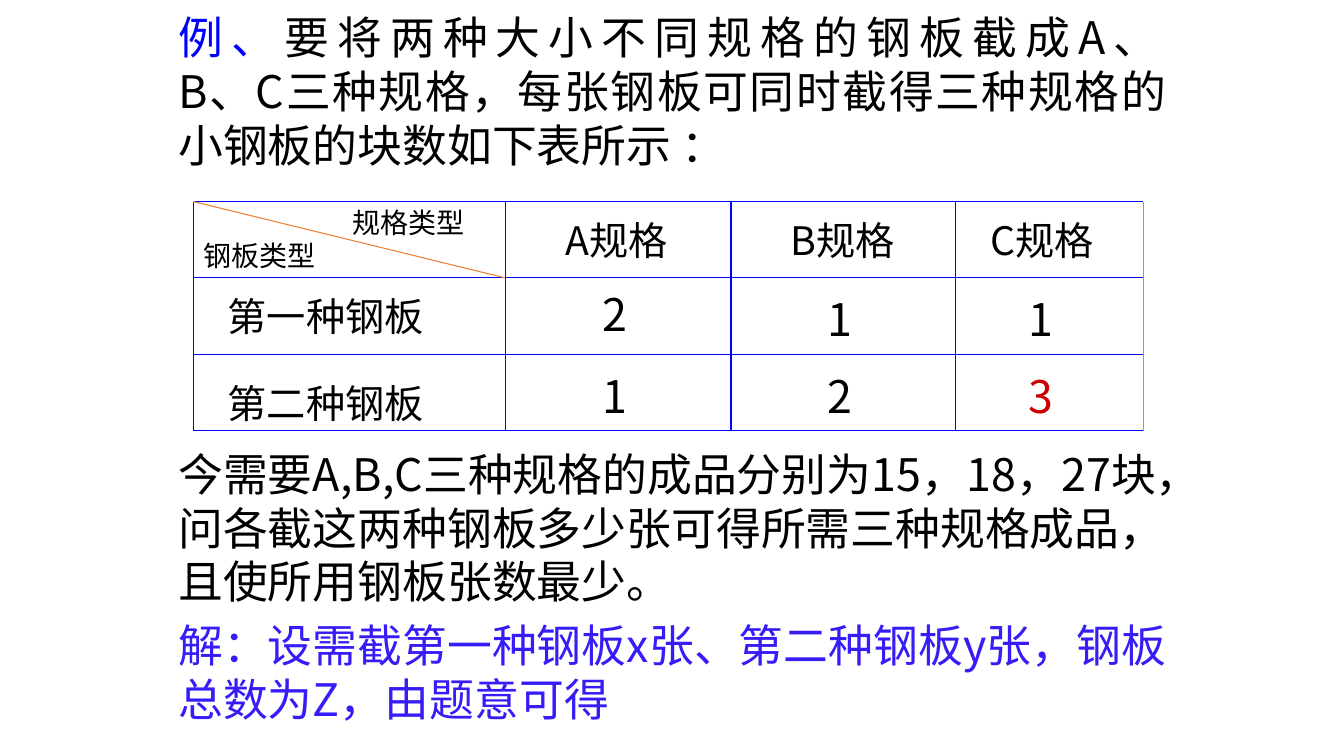
import dataclasses
import itertools

import lxml.etree
import pptx
import pptx.dml.color
import pptx.enum.shapes
import pptx.enum.text
import pptx.oxml.ns
import pptx.util

Inches = pptx.util.Inches
Pt = pptx.util.Pt
Align = pptx.enum.text.PP_ALIGN
Anchor = pptx.enum.text.MSO_ANCHOR
qn = pptx.oxml.ns.qn

FONT = "Noto Sans CJK SC"
BLACK, BLUE, ORANGE, RED, VIOLET = "000000", "0000FF", "ED7D31", "CC0000", "361CF6"
LEFT, TOP, ROW_H = 1.92, 2.0, 0.757
COL_WIDTHS = (3.09, 2.24, 2.23, 1.86)


@dataclasses.dataclass
class Span:
    text: str
    color: str
    spacing: float = 0
    ends_line: bool = False


@dataclasses.dataclass
class Passage:
    top: float
    height: float
    spans: list[Span]
    align: Align = Align.LEFT
    anchor: Anchor = Anchor.TOP


@dataclasses.dataclass
class Entry:
    text: str
    left: float
    top: float
    size: int
    color: str = BLACK


PASSAGES = [
    Passage(0.05, 1.72, [
        Span("例、", BLUE, 3.7),
        Span("要将两种大小不同规格的钢板截成A、", BLACK, 3.7, True),
        Span("B、C三种规格，每张钢板可同时截得三种规格的小钢板的块数如下表所示 ：", BLACK),
    ], Align.JUSTIFY),
    Passage(4.38, 1.72, [
        Span("今需要A,B,C三种规格的成品分别为15，18，27块，问各截这两种钢板多少张可得所需三种规格成品，且使所用钢板张数最少。", BLACK),
    ]),
    Passage(6.08, 1.17, [
        Span("解：设需截第一种钢板x张、第二种钢板y张，钢板总数为Z，由题意可得", VIOLET),
    ], anchor=Anchor.MIDDLE),
]

ROWS = [
    [Entry("规格类型\n钢板类型", 0.1, 0.06, 20), Entry("A规格", 0.6, 0.18, 28),
     Entry("B规格", 0.59, 0.18, 28), Entry("C规格", 0.34, 0.18, 28)],
    [Entry("第一种钢板", 0.34, 0.18, 28), Entry("2", 0.97, 0.13, 32),
     Entry("1", 0.96, 0.18, 32), Entry("1", 0.72, 0.18, 32)],
    [Entry("第二种钢板", 0.34, 0.28, 28), Entry("1", 0.97, 0.18, 32),
     Entry("2", 0.96, 0.18, 32), Entry("3", 0.72, 0.18, 32, RED)],
]


def rgb(value: str) -> pptx.dml.color.RGBColor:
    return pptx.dml.color.RGBColor.from_string(value)


def style_paragraph(p, size: int, color: str | None = None) -> None:
    p.font.name = FONT
    p.font.size = Pt(size)
    if color:
        p.font.color.rgb = rgb(color)
    props = p._p.pPr.find(qn("a:defRPr"))
    lxml.etree.SubElement(props, qn("a:ea"), typeface=FONT)


def add_passage(slide, item: Passage) -> None:
    sp = slide.shapes.add_textbox(Inches(1.67), Inches(item.top), Inches(10), Inches(item.height))
    tf = sp.text_frame
    tf.word_wrap = True
    tf.vertical_anchor = item.anchor
    p = tf.paragraphs[0]
    p.alignment = item.align
    for span in item.spans:
        r = p.add_run()
        r.text = span.text
        r.font.color.rgb = rgb(span.color)
        if span.spacing:
            r._r.get_or_add_rPr().set("spc", str(round(span.spacing * 100)))
        if span.ends_line:
            p.add_line_break()
    style_paragraph(p, 32)


def fill_cell(cell, entry: Entry) -> None:
    cell.text = entry.text
    cell.margin_left, cell.margin_top = Inches(entry.left), Inches(entry.top)
    cell.margin_right = cell.margin_bottom = 0
    for p in cell.text_frame.paragraphs:
        p.line_spacing = Pt(entry.size * 1.2)
        style_paragraph(p, entry.size, entry.color)
    for side in ("lnL", "lnR", "lnT", "lnB"):
        ln = lxml.etree.SubElement(cell._tc.get_or_add_tcPr(), qn(f"a:{side}"))
        lxml.etree.SubElement(ln, qn("a:noFill"))
    cell.fill.background()


def add_plate_table(slide) -> None:
    frame = slide.shapes.add_table(
        len(ROWS), len(COL_WIDTHS), Inches(LEFT), Inches(TOP),
        Inches(sum(COL_WIDTHS)), Inches(ROW_H * len(ROWS)))
    table = frame.table
    table.first_row = table.horz_banding = False
    for column, width in zip(table.columns, COL_WIDTHS):
        column.width = Inches(width)
    for i, entries in enumerate(ROWS):
        table.rows[i].height = Inches(ROW_H)
        for j, entry in enumerate(entries):
            fill_cell(table.cell(i, j), entry)
    corner = table.cell(0, 0)
    corner.margin_right = Inches(0.4)
    corner.text_frame.paragraphs[0].alignment = Align.RIGHT


def add_line(slide, x1: float, y1: float, x2: float, y2: float, color: str) -> None:
    line = slide.shapes.add_connector(
        pptx.enum.shapes.MSO_CONNECTOR.STRAIGHT,
        Inches(x1), Inches(y1), Inches(x2), Inches(y2))
    line.line.color.rgb = rgb(color)
    line.line.width = Pt(0.75)
    lxml.etree.SubElement(line._element.spPr, qn("a:effectLst"))


def add_grid(slide) -> None:
    xs = list(itertools.accumulate(COL_WIDTHS, initial=LEFT))
    ys = [TOP + ROW_H * i for i in range(len(ROWS) + 1)]
    for x in xs:
        add_line(slide, x, ys[0], x, ys[-1], ORANGE if x == xs[-1] else BLUE)
    for y in ys:
        add_line(slide, xs[0], y, xs[-1], y, BLUE)
    add_line(slide, xs[0], ys[0], xs[1], ys[1], ORANGE)


def main() -> None:
    prs = pptx.Presentation()
    prs.slide_width, prs.slide_height = Inches(13.33), Inches(7.5)
    slide = prs.slides.add_slide(prs.slide_layouts[6])
    add_plate_table(slide)
    add_grid(slide)
    for item in PASSAGES:
        add_passage(slide, item)
    prs.save("out.pptx")


if __name__ == "__main__":
    main()
